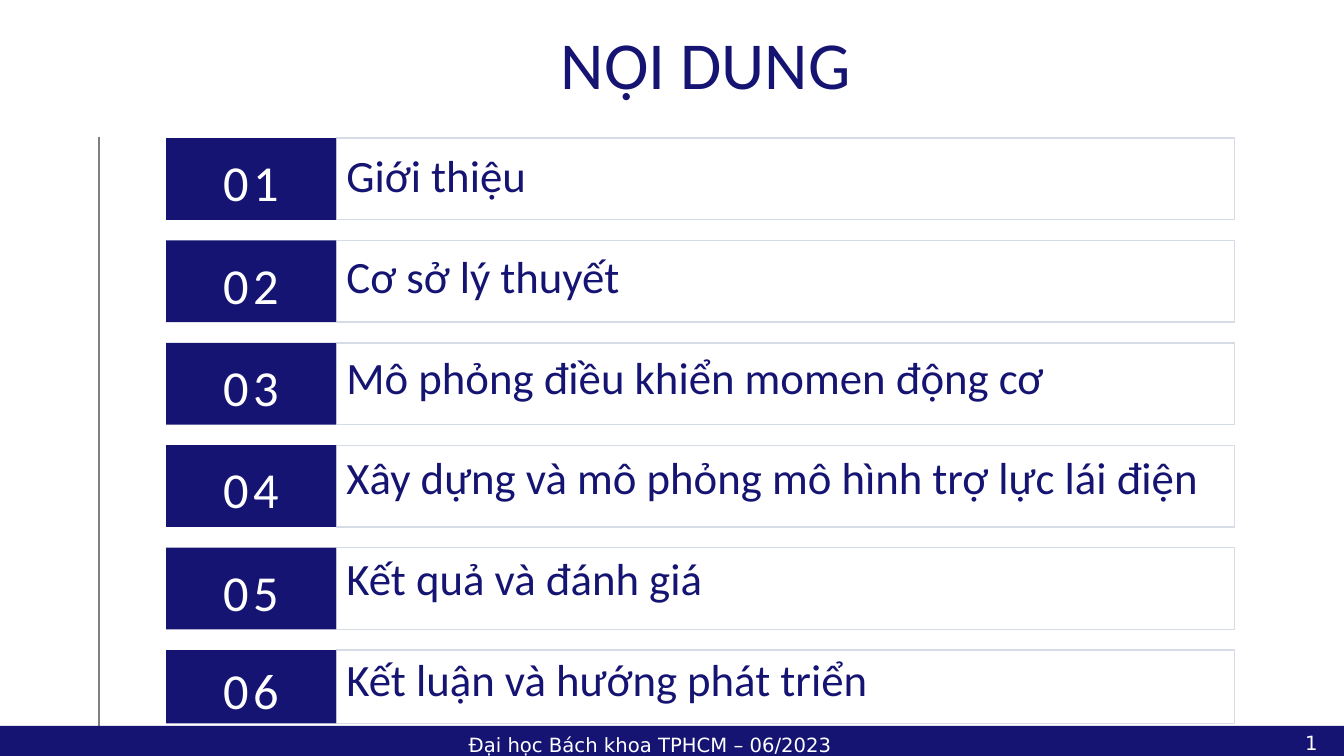
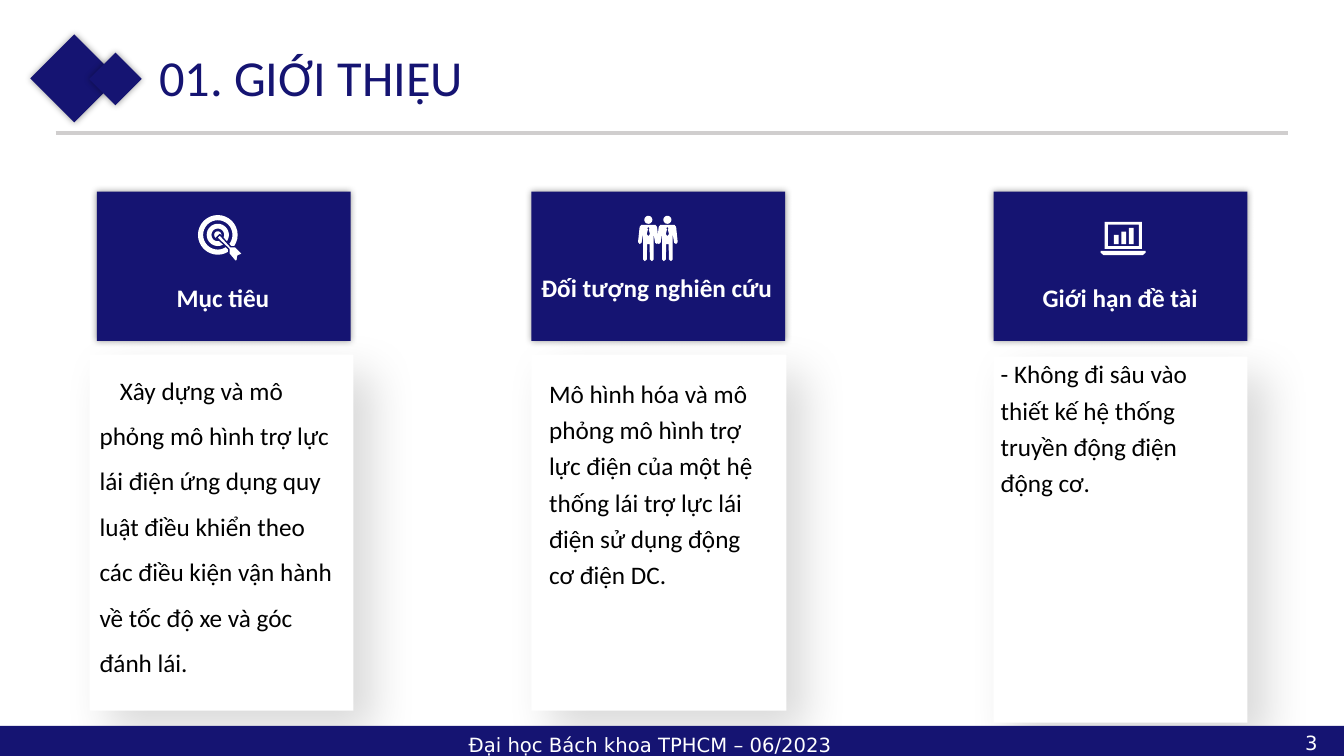
from dataclasses import dataclass
from math import cos, pi, sin

from pptx import Presentation
from pptx.dml.color import RGBColor
from pptx.enum import shapes as sh
from pptx.enum import text as tx
from pptx.oxml import parse_xml
from pptx.oxml.ns import nsdecls
from pptx.util import Cm, Pt

HUES = {"navy": "151472", "white": "FFFFFF", "black": "000000",
        "edge": "D6DCE5", "gray": "808080", "rule": "D0CECE"}
WIDE, HIGH = 33.87, 19.05
FOOT = "Đại học Bách khoa TPHCM – 06/2023"
LEFT, MID = tx.PP_ALIGN.LEFT, tx.PP_ALIGN.CENTER
Point = tuple[float, float]
Loop = list[Point]


@dataclass
class Shade:
    alpha: int
    blur: int
    dist: int = 0
    angle: int = 0


GLOW = Shade(40, 5)
DROP = Shade(14, 32, 19, 45)


@dataclass
class Box:
    left: float
    top: float
    width: float
    height: float

    def cm(self) -> list[int]:
        return [Cm(v) for v in (self.left, self.top, self.width, self.height)]


@dataclass
class Card:
    head: Box
    label: str
    name: Box
    panel: Box
    body: str
    area: Box
    lead: float = 1.2
    before: float = 4
    after: float = 0
    indent: float = 0


TOPICS = ["Giới thiệu", "Cơ sở lý thuyết", "Mô phỏng điều khiển momen động cơ",
          "Xây dựng và mô phỏng mô hình trợ lực lái điện",
          "Kết quả và đánh giá", "Kết luận và hướng phát triển"]

CARDS = [
    Card(Box(2.44, 4.83, 6.4, 3.76), "Mục tiêu", Box(2.51, 6.83, 6.22, 1.12),
         Box(2.26, 8.94, 6.65, 8.97),
         "Xây dựng và mô phỏng mô hình trợ lực lái điện ứng dụng quy luật "
         "điều khiển theo các điều kiện vận hành về tốc độ xe và góc đánh lái.",
         Box(2.26, 8.94, 6.5, 8.23), lead=1.5, before=6, after=10, indent=0.51),
    Card(Box(13.39, 4.83, 6.4, 3.76), "Đối tượng nghiên cứu", Box(13.39, 6.58, 6.32, 1.12),
         Box(13.39, 8.94, 6.43, 8.97),
         "Mô hình hóa và mô phỏng mô hình trợ lực điện của một hệ thống lái "
         "trợ lực lái điện sử dụng động cơ điện DC.",
         Box(13.59, 9.25, 6.02, 6.71)),
    Card(Box(25.04, 4.83, 6.4, 3.76), "Giới hạn đề tài", Box(25.12, 6.83, 6.22, 1.12),
         Box(25.04, 8.99, 6.4, 9.22),
         "- Không đi sâu vào thiết kế hệ thống truyền động điện động cơ.",
         Box(24.97, 8.76, 6.07, 4.93)),
]


def tint(hue: str) -> RGBColor:
    return RGBColor.from_string(HUES[hue])


def cast(shape, shade: Shade) -> None:
    """Give the shape an outer shadow."""
    shape.shadow.inherit = False
    shape._element.spPr.find("{*}effectLst").append(parse_xml(
        f'<a:outerShdw {nsdecls("a")} blurRad="{Pt(shade.blur)}" dist="{Pt(shade.dist)}" '
        f'dir="{shade.angle * 60000}" rotWithShape="0"><a:srgbClr val="{HUES["black"]}">'
        f'<a:alpha val="{shade.alpha * 1000}"/></a:srgbClr></a:outerShdw>'))


def paint(shape, fill: str | None, line: str | None = None) -> None:
    shape.shadow.inherit = False
    if fill:
        shape.fill.solid()
        shape.fill.fore_color.rgb = tint(fill)
    else:
        shape.fill.background()
    if line:
        shape.line.color.rgb = tint(line)
        shape.line.width = Pt(1)
    else:
        shape.line.fill.background()


def rect(slide, box: Box, fill: str | None = "navy", line: str | None = None,
         shade: Shade | None = None, turn: float = 0):
    shape = slide.shapes.add_shape(sh.MSO_SHAPE.RECTANGLE, *box.cm())
    paint(shape, fill, line)
    shape.rotation = turn
    if shade:
        cast(shape, shade)
    return shape


def rule(slide, start: Point, end: Point, hue: str, width: float) -> None:
    line = slide.shapes.add_connector(sh.MSO_CONNECTOR.STRAIGHT,
                                      *[Cm(v) for v in start + end])
    line.line.color.rgb = tint(hue)
    line.line.width = Pt(width)
    line._element.spPr.append(parse_xml(f'<a:effectLst {nsdecls("a")}/>'))


def write(shape, *lines: str, size: float = 18, hue: str = "navy", font: str = "Calibri",
          bold: bool = False, align=LEFT, anchor=tx.MSO_ANCHOR.TOP, wrap: bool = True,
          pads: tuple = (0.25, 0.13, 0.25, 0.13), lead: float = 1, before: float = 0,
          after: float = 0, indent: float = 0, track: float = 0) -> None:
    """Fill the shape with one paragraph per line."""
    frame = shape.text_frame
    frame.auto_size = tx.MSO_AUTO_SIZE.NONE
    frame.word_wrap, frame.vertical_anchor = wrap, anchor
    (frame.margin_left, frame.margin_top,
     frame.margin_right, frame.margin_bottom) = [Cm(p) for p in pads]
    frame.text = "\n".join(lines)
    for para in frame.paragraphs:
        para.alignment, para.line_spacing = align, lead
        para.space_before, para.space_after = Pt(before), Pt(after)
        props = para._p.get_or_add_pPr()
        props.set("marL", "0")
        props.set("indent", str(Cm(indent)))
        props.append(parse_xml(f'<a:buNone {nsdecls("a")}/>'))
        for run in para.runs:
            face = run.font
            face.name, face.size, face.bold = font, Pt(size), bold
            face.color.rgb = tint(hue)
            if track:
                run._r.get_or_add_rPr().set("spc", str(round(track * 100)))


def note(slide, box: Box, words: str, **form) -> None:
    write(slide.shapes.add_textbox(*box.cm()), words, **form)


def place(holder, box: Box, *lines: str, **form) -> None:
    """Move a placeholder and fill it."""
    holder.left, holder.top, holder.width, holder.height = box.cm()
    write(holder, *lines, **form)


def footer(slide, page: int) -> None:
    rect(slide, Box(0, 18.29, WIDE, HIGH - 18.29))
    for box, words in ((Box(32.64, 18.29, 1.23, 0.76), str(page)),
                       (Box(11.56, 18.34, 10.8, 0.71), FOOT)):
        note(slide, box, words, size=14, hue="white", font="DejaVu Sans")


def ring(x: float, y: float, radius: float) -> Loop:
    turns = [2 * pi * i / 32 for i in range(32)]
    return [(x + radius * cos(t), y + radius * sin(t)) for t in turns]


def block(left: float, top: float, right: float, base: float) -> Loop:
    return [(left, top), (right, top), (right, base), (left, base)]


def draw(slide, loops: list[Loop], line: str | None = None) -> None:
    """Draw one white outline; a loop inside another is a hole."""
    pens = [[(Cm(x), Cm(y)) for x, y in loop] for loop in loops]
    pen = slide.shapes.build_freeform(*pens[0][0])
    for i, loop in enumerate(pens):
        if i:
            pen.move_to(*loop[0])
        pen.add_line_segments(loop[1:], close=True)
    paint(pen.convert_to_shape(), "white", line)


def target(slide) -> None:
    draw(slide, [ring(5.49, 5.92, r) for r in (0.5, 0.37, 0.28, 0.16, 0.09)])
    draw(slide, [[(5.46, 5.99), (5.54, 5.91), (5.82, 6.22), (5.94, 6.22), (6.12, 6.4),
                  (6, 6.45), (5.98, 6.57), (5.93, 6.59), (5.77, 6.4), (5.77, 6.28)]],
         line="navy")


def people(slide) -> None:
    half = [(0, 0.23), (0.18, 0.23), (0.22, 0.28), (0.26, 0.66), (0.22, 0.71),
            (0.17, 0.68), (0.13, 0.43), (0.13, 1.1), (0.09, 1.14), (0.04, 1.1), (0.03, 0.71)]
    tie = [(0, 0.28), (0.03, 0.31), (0.01, 0.34), (0.04, 0.46), (0, 0.51)]
    for x in (16.34, 16.82):
        loops = [[(x + s * a, 5.44 + b) for s, part in ((1, form), (-1, form[::-1]))
                  for a, b in part] for form in (half, tie)]
        draw(slide, loops + [ring(x, 5.54, 0.1)])


def laptop(slide) -> None:
    bars = [block(28.07 + 0.19 * i, top, 28.19 + 0.19 * i, 6.15)
            for i, top in enumerate((5.92, 5.84, 5.74))]
    base = [(27.74, 6.32), (28.87, 6.32), (28.87, 6.37), (28.8, 6.43),
            (27.81, 6.43), (27.74, 6.37)]
    draw(slide, [block(27.84, 5.59, 28.78, 6.27), block(27.92, 5.66, 28.7, 6.2), base, *bars])


def agenda(deck) -> None:
    slide = deck.slides.add_slide(deck.slide_layouts[1])
    place(slide.shapes.title, Box(13.88, 0.29, 7.92, 2.57), "NỘI DUNG", size=48,
          wrap=False, anchor=tx.MSO_ANCHOR.MIDDLE)
    place(slide.placeholders[1], Box(8.48, 3.6, 23.2, 14.6), *TOPICS, size=32, after=33.5)
    rule(slide, (2.49, 3.45), (2.49, 18.34), "gray", 1.5)
    for i in range(len(TOPICS)):
        top = 3.48 + 2.58 * i
        tall = 1.85 if i == len(TOPICS) - 1 else 2.06
        rect(slide, Box(8.48, top, 22.63, tall), fill=None, line="edge")
        write(rect(slide, Box(4.19, top, 4.28, tall)), f"{i + 1:02}", size=36, hue="white",
              align=MID, anchor=tx.MSO_ANCHOR.MIDDLE, pads=(0.25, 0.13, 0.25, 0), track=3)
    footer(slide, 1)


def intro(deck) -> None:
    slide = deck.slides.add_slide(deck.slide_layouts[5])
    rule(slide, (1.4, 3.35), (32.46, 3.35), "rule", 2.25)
    for box in (Box(1.09, 1.19, 1.57, 1.57), Box(2.44, 1.52, 0.94, 0.94)):
        rect(slide, box, shade=GLOW, turn=315)
    place(slide.shapes.title, Box(3.76, 1.04, 15.77, 1.8), "01. GIỚI THIỆU", size=36)
    for card, icon in zip(CARDS, (target, people, laptop)):
        rect(slide, card.panel, "white", shade=DROP)
        note(slide, card.area, card.body, hue="black", lead=card.lead,
             before=card.before, after=card.after, indent=card.indent)
        rect(slide, card.head, shade=GLOW)
        note(slide, card.name, card.label, hue="white", bold=True, align=MID,
             lead=1.2, pads=(0, 0.13, 0, 0.13))
        icon(slide)
    footer(slide, 3)


def main() -> None:
    deck = Presentation()
    deck.slide_width, deck.slide_height = Cm(WIDE), Cm(HIGH)
    agenda(deck)
    intro(deck)
    deck.save("out.pptx")


if __name__ == "__main__":
    main()
